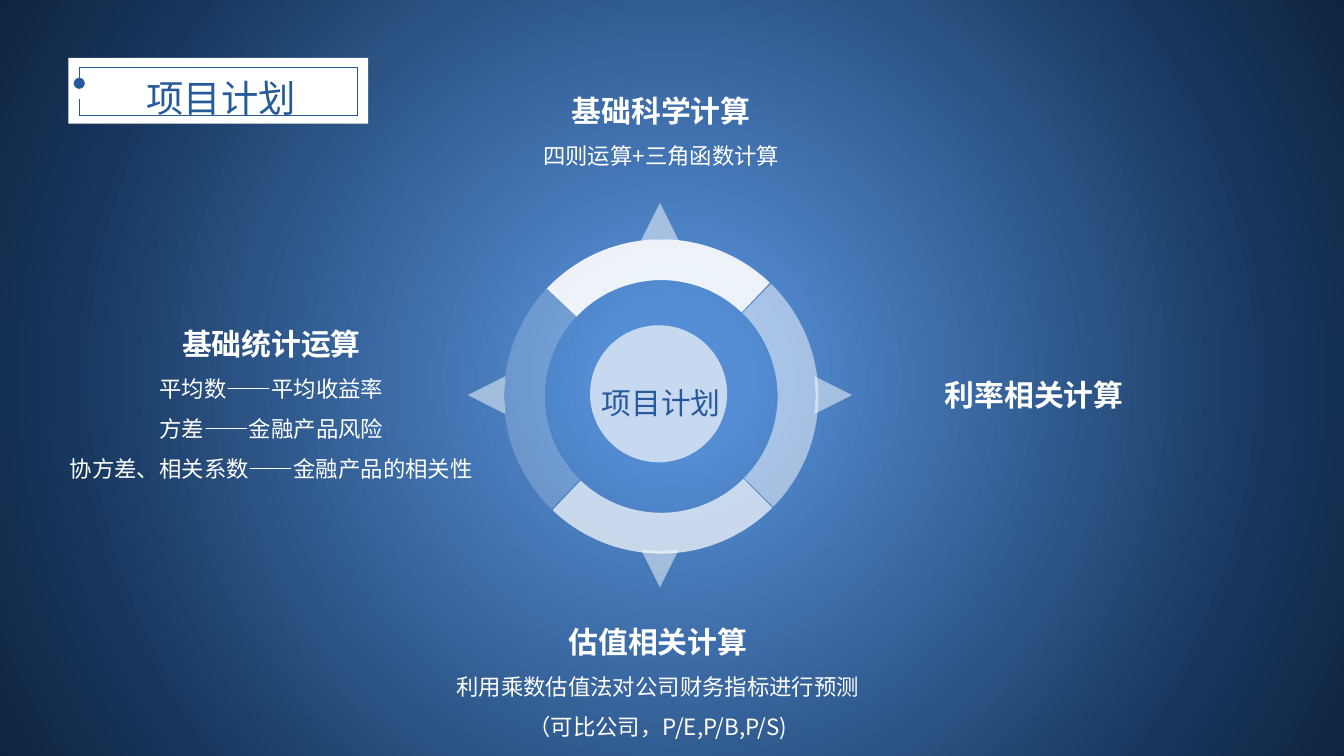
from math import cos, pi, sin

from pptx import Presentation
from pptx.dml.color import RGBColor
from pptx.enum.shapes import MSO_CONNECTOR, MSO_SHAPE
from pptx.enum.text import MSO_ANCHOR, MSO_AUTO_SIZE, PP_ALIGN
from pptx.oxml import parse_xml
from pptx.oxml.ns import nsdecls, qn
from pptx.util import Inches, Pt

FONT = "Noto Sans CJK SC"
WHITE, BLUE = "FFFFFF", "265A9A"
PAGE_WIDTH = 10
PAGE_HEIGHT = PAGE_WIDTH * 9 / 16
CENTER_X, CENTER_Y = 4.92, 2.95
RING_SIZE = 2.34


def paint(color_format, color):
    color_format.rgb = RGBColor.from_string(color)


def place(shape, left, top, width, height):
    shape.left, shape.top = Inches(left), Inches(top)
    shape.width, shape.height = Inches(width), Inches(height)


def set_background(page, stops):
    """Radial gradient that runs outwards from the middle of the slide."""
    marks = "".join(f'<a:gs pos="{share * 1000}"><a:srgbClr val="{color}"/></a:gs>'
                    for share, color in stops)
    background = parse_xml(
        f'<p:bg {nsdecls("p", "a")}><p:bgPr><a:gradFill rotWithShape="1">'
        f'<a:gsLst>{marks}</a:gsLst><a:path path="circle">'
        '<a:fillToRect l="50000" t="50000" r="50000" b="50000"/></a:path>'
        '</a:gradFill><a:effectLst/></p:bgPr></p:bg>')
    page._element.cSld.insert(0, background)


def fill_white(shape, opacity=100):
    shape.shadow.inherit = False
    shape.fill.solid()
    paint(shape.fill.fore_color, WHITE)
    shape.line.fill.background()
    if opacity < 100:
        color = shape._element.spPr.find(qn("a:solidFill"))[0]
        color.append(parse_xml(f'<a:alpha {nsdecls("a")} val="{opacity * 1000}"/>'))


def add_white_shape(page, kind, box, opacity=100, rotation=0, flip=""):
    shape = page.shapes.add_shape(kind, 0, 0, 0, 0)
    place(shape, *box)
    shape.rotation = rotation
    for axis in flip:
        shape._element.spPr.xfrm.set(f"flip{axis}", "1")
    fill_white(shape, opacity)
    return shape


def add_line(page, start, end, dot=False):
    line = page.shapes.add_connector(
        MSO_CONNECTOR.STRAIGHT, *(Inches(value) for value in start + end))
    paint(line.line.color, BLUE)
    line.line.width = Pt(0.25)
    if dot:
        line.line._get_or_add_ln().append(
            parse_xml(f'<a:tailEnd {nsdecls("a")} type="oval"/>'))
    line._element.spPr.append(parse_xml(f'<a:effectLst {nsdecls("a")}/>'))


def write(shape, lines, size=16, color=WHITE, bold=False, detail_size=12):
    """First line at the given size, the following ones as plain details."""
    frame = shape.text_frame
    frame.word_wrap = True
    frame.auto_size = MSO_AUTO_SIZE.SHAPE_TO_FIT_TEXT
    frame.vertical_anchor = MSO_ANCHOR.TOP
    for index, text in enumerate(lines):
        para = frame.add_paragraph() if index else frame.paragraphs[0]
        para.alignment = PP_ALIGN.CENTER
        para.line_spacing = 1.5
        span = para.add_run()
        span.text = text
        span.font.size = Pt(detail_size if index else size)
        span.font.bold = bold and index == 0
        span.font.name = FONT
        paint(span.font.color, color)
        span._r.get_or_add_rPr().append(
            parse_xml(f'<a:ea {nsdecls("a")} typeface="{FONT}"/>'))


def add_text(page, box, lines, **text_format):
    shape = page.shapes.add_textbox(0, 0, 0, 0)
    place(shape, *box)
    write(shape, lines, **text_format)


def add_title(page, text):
    # White plate with a thin frame, open at the left around the dot
    add_white_shape(page, MSO_SHAPE.RECTANGLE, (0.51, 0.43, 2.23, 0.49))
    left, top, right, bottom = 0.59, 0.5, 2.66, 0.86
    corners = [(left, top), (right, top), (right, bottom), (left, bottom)]
    for start, end in zip(corners, corners[1:]):
        add_line(page, start, end)
    add_line(page, (left, top), (left, top + 0.12), dot=True)
    add_line(page, (left, bottom), (left, bottom - 0.12))

    # Title placeholder goes in front of the plate
    title = page.shapes.title
    page.shapes._spTree.append(title._element)
    place(title, 0.63, 0.34, 2.03, 0.55)
    write(title, [text], size=20, color=BLUE)


def add_pointer(page, angle):
    """Arrowhead outside the ring; its base follows the ring."""
    def at(outward, sideways):
        x = CENTER_X - 0.01 + outward * cos(angle) - sideways * sin(angle)
        y = CENTER_Y - 0.01 + outward * sin(angle) + sideways * cos(angle)
        return Inches(x), Inches(y)

    points = [at(*point) for point in
              [(1.15, -0.14), (1.43, 0), (1.15, 0.14), (1.16, 0)]]
    builder = page.shapes.build_freeform(*points[0], scale=1.0)
    builder.add_line_segments(points[1:], close=True)
    fill_white(builder.convert_to_shape(), 50)


def add_wheel(page, label):
    # Ring of four quarters: right, top, left, bottom
    ring = (CENTER_X - RING_SIZE / 2, CENTER_Y - RING_SIZE / 2, RING_SIZE, RING_SIZE)
    for flip, opacity, end in [("", 50, 0.37), ("H", 90, 0.37),
                               ("HV", 20, 0.37), ("V", 70, 215.39)]:
        quarter = add_white_shape(page, MSO_SHAPE.BLOCK_ARC, ring, opacity, 44, flip)
        for index, value in enumerate((162.17, end, 0.13)):
            quarter.adjustments[index] = value

    for turn in range(4):
        add_pointer(page, turn * pi / 2)

    # Hub
    add_white_shape(page, MSO_SHAPE.FLOWCHART_CONNECTOR, (4.39, 2.42, 1.02, 1.02),
                    67, 47.3)
    add_text(page, (4.25, 2.68, 1.34, 0.46), [label], color=BLUE)


def main():
    deck = Presentation()
    deck.slide_width, deck.slide_height = Inches(PAGE_WIDTH), Inches(PAGE_HEIGHT)
    page = deck.slides.add_slide(deck.slide_layouts[5])
    set_background(page, [(9, "558ED5"), (78, "17375E"), (100, "0F243E")])
    add_title(page, "项目计划")
    add_wheel(page, "项目计划")

    # Topics around the wheel
    topics = [
        ((3.36, 0.51, 3.12, 0.77), ["基础科学计算", "四则运算+三角函数计算"]),
        ((6.21, 2.62, 2.97, 0.77), ["利率相关计算"]),
        ((3.17, 4.46, 3.45, 1.08), ["估值相关计算", "利用乘数估值法对公司财务指标进行预测",
                                    "（可比公司，P/E,P/B,P/S)"]),
        ((0.37, 2.24, 3.3, 1.38), ["基础统计运算", "平均数——平均收益率", "方差——金融产品风险",
                                   "协方差、相关系数——金融产品的相关性"]),
    ]
    for box, lines in topics:
        add_text(page, box, lines, bold=True)
    deck.save("out.pptx")


main()
